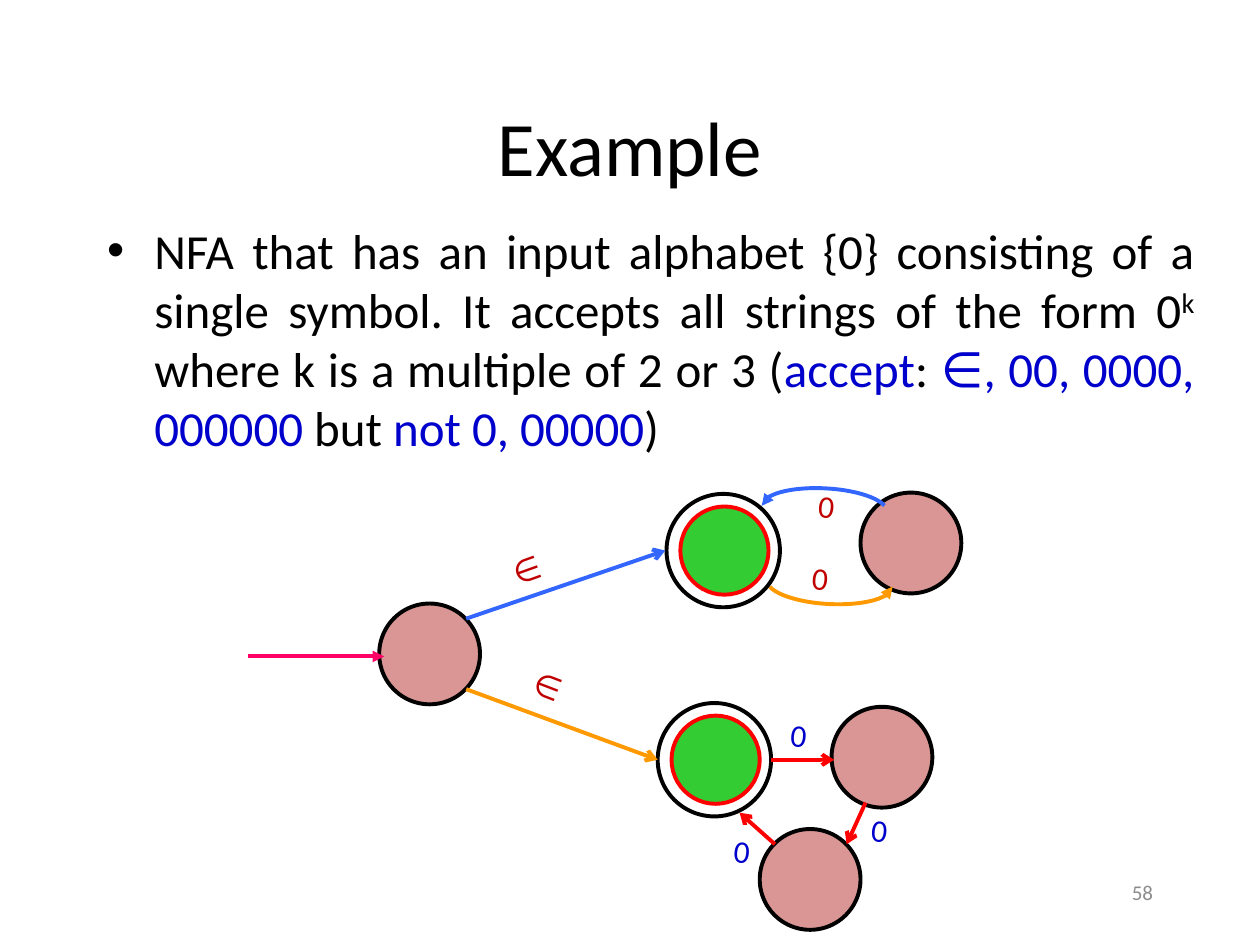
from dataclasses import dataclass

from lxml import etree
from pptx import Presentation
from pptx.dml.color import RGBColor
from pptx.enum.shapes import MSO_CONNECTOR, MSO_SHAPE
from pptx.enum.text import MSO_ANCHOR, MSO_AUTO_SIZE, PP_ALIGN
from pptx.oxml.ns import qn
from pptx.util import Inches, Pt

OVAL, ARC = MSO_SHAPE.OVAL, MSO_SHAPE.ARC
STRAIGHT = MSO_CONNECTOR.STRAIGHT
MIDDLE, NO_FIT = MSO_ANCHOR.MIDDLE, MSO_AUTO_SIZE.NONE
CENTER, RIGHT, JUSTIFY = PP_ALIGN.CENTER, PP_ALIGN.RIGHT, PP_ALIGN.JUSTIFY


@dataclass(frozen=True)
class Theme:
    """Colours, type sizes and line width of the slide."""
    font: str = "Calibri"
    text: str = "000000"
    highlight: str = "0000CC"
    epsilon: str = "C00000"
    number: str = "8C8C8C"
    state: str = "D99694"
    accept: str = "33CC33"
    white: str = "FFFFFF"
    red: str = "FF0000"
    pink: str = "FF0066"
    blue: str = "3366FF"
    orange: str = "FF9900"
    title_size: int = 44
    body_size: int = 28
    label_size: int = 18
    number_size: int = 12
    line_width: float = 2.25


THEME = Theme()


def place(shape, box):
    """Move and size a shape to a box given in inches."""
    shape.left, shape.top, shape.width, shape.height = map(Inches, box)


def format_run(run, size, color):
    """Set the font, size and colour of a run."""
    run.font.name = THEME.font
    run.font.size = Pt(size)
    run.font.color.rgb = RGBColor.from_string(color)


def set_line(shape, color):
    """Give a shape or connector its outline."""
    shape.line.color.rgb = RGBColor.from_string(color)
    shape.line.width = Pt(THEME.line_width)


def add_arrowhead(shape, end, kind):
    """Put an arrowhead at the headEnd or tailEnd of a line."""
    line = shape.line._get_or_add_ln()
    etree.SubElement(line, qn(f"a:{end}"), type=kind)


def add_text(slide, box, text, size, color, alignment):
    """Add a one-line text box, centred vertically."""
    shape = slide.shapes.add_textbox(*map(Inches, box))
    frame = shape.text_frame
    frame.text = text
    frame.vertical_anchor = MIDDLE
    paragraph = frame.paragraphs[0]
    paragraph.alignment = alignment
    format_run(paragraph.runs[0], size, color)
    return shape


def add_title(slide, box):
    """Fill the title placeholder."""
    title = slide.shapes.title
    place(title, box)
    title.text_frame.text = "Example"
    title.text_frame.vertical_anchor = MIDDLE
    paragraph = title.text_frame.paragraphs[0]
    paragraph.alignment = CENTER
    format_run(paragraph.runs[0], THEME.title_size, THEME.text)


def add_body(slide, box):
    """Fill the body placeholder with the description of the automaton."""
    body = slide.placeholders[1]
    place(body, box)
    body.text_frame.auto_size = NO_FIT
    paragraph = body.text_frame.paragraphs[0]
    paragraph.alignment = JUSTIFY
    pieces = [
        ("NFA that has an input alphabet {0} consisting of a single symbol. "
         "It accepts all strings of the form 0", THEME.text),
        ("k", THEME.text),
        (" where k is a multiple of 2 or 3 (", THEME.text),
        ("accept", THEME.highlight),
        (": ", THEME.text),
        ("∈, 00, 0000, 000000", THEME.highlight),
        (" but ", THEME.text),
        ("not 0, 00000", THEME.highlight),
        (")", THEME.text),
    ]
    for text, color in pieces:
        run = paragraph.add_run()
        run.text = text
        format_run(run, THEME.body_size, color)
    exponent = paragraph.runs[1]
    exponent._r.get_or_add_rPr().set("baseline", "30000")


def add_circle(slide, left, top, size, fill, line):
    """Add a filled circle."""
    circle = slide.shapes.add_shape(OVAL, *map(Inches, (left, top, size, size)))
    circle.shadow.inherit = False
    circle.fill.solid()
    circle.fill.fore_color.rgb = RGBColor.from_string(fill)
    set_line(circle, line)


def add_accepting_state(slide, left, top):
    """Add a double circle for an accepting state."""
    add_circle(slide, left, top, 0.9, THEME.white, THEME.text)
    add_circle(slide, left + 0.11, top + 0.1, 0.7, THEME.accept, THEME.red)


def add_arrow(slide, start, end, color, head):
    """Add a straight transition."""
    arrow = slide.shapes.add_connector(STRAIGHT, *map(Inches, (*start, *end)))
    set_line(arrow, color)
    add_arrowhead(arrow, "tailEnd", head)
    etree.SubElement(arrow._element.spPr, qn("a:effectLst"))


def add_curve(slide, left, top, rotation, color):
    """Add a curved transition."""
    curve = slide.shapes.add_shape(ARC, *map(Inches, (left, top, 0.33, 1)))
    curve.adjustments[0], curve.adjustments[1] = 162, 50.15
    curve.rotation = rotation
    curve.shadow.inherit = False
    curve.fill.background()
    set_line(curve, color)
    add_arrowhead(curve, "headEnd", "triangle")


def add_automaton(slide, left, top):
    """Draw the states, transitions and labels from the given corner."""
    for x, y in [(1.04, 1.29), (4.86, 0.41), (4.63, 2.11), (4.06, 3.08)]:
        add_circle(slide, left + x, top + y, 0.8, THEME.state, THEME.text)
    for x, y in [(3.32, 0.42), (3.25, 2.08)]:
        add_accepting_state(slide, left + x, top + y)

    arrows = [
        (0, 1.71, 1.08, 1.71, THEME.pink, "triangle"),
        (1.73, 1.41, 3.31, 0.87, THEME.blue, "arrow"),
        (1.73, 1.97, 3.25, 2.53, THEME.orange, "arrow"),
        (4.15, 2.53, 4.65, 2.53, THEME.red, "arrow"),
        (4.9, 2.87, 4.75, 3.2, THEME.red, "arrow"),
        (4.18, 3.2, 3.9, 2.95, THEME.red, "arrow"),
    ]
    for x1, y1, x2, y2, color, head in arrows:
        add_arrow(slide, (left + x1, top + y1), (left + x2, top + y2), color, head)
    add_curve(slide, left + 4.41, top + 0.04, 273, THEME.blue)
    add_curve(slide, left + 4.45, top + 0.63, 93, THEME.orange)

    labels = [
        ("∈", 1.92, 0.85, 340.2, THEME.epsilon),
        ("∈", 2.09, 1.78, 21, THEME.epsilon),
        ("0", 4.3, 0.35, 5.6, THEME.epsilon),
        ("0", 4.25, 0.92, 5.6, THEME.epsilon),
        ("0", 4.08, 2.17, 5.6, THEME.highlight),
        ("0", 4.72, 2.92, 5.6, THEME.highlight),
        ("0", 3.63, 3.09, 5.6, THEME.highlight),
    ]
    for text, x, y, rotation, color in labels:
        box = (left + x, top + y, 0.58, 0.33)
        label = add_text(slide, box, text, THEME.label_size, color, CENTER)
        label.rotation = rotation
        label.text_frame.word_wrap = False


def main():
    """Build and save the slide."""
    presentation = Presentation()
    presentation.slide_width, presentation.slide_height = Inches(10), Inches(7.5)
    slide = presentation.slides.add_slide(presentation.slide_layouts[1])
    add_title(slide, (0.75, 0.53, 8.5, 1.25))
    add_body(slide, (0.75, 1.7, 8.83, 2.1))
    add_text(slide, (7.17, 6.83, 2.08, 0.5), "58", THEME.number_size, THEME.number, RIGHT)
    add_automaton(slide, 1.97, 3.5)
    presentation.save("out.pptx")


if __name__ == "__main__":
    main()
